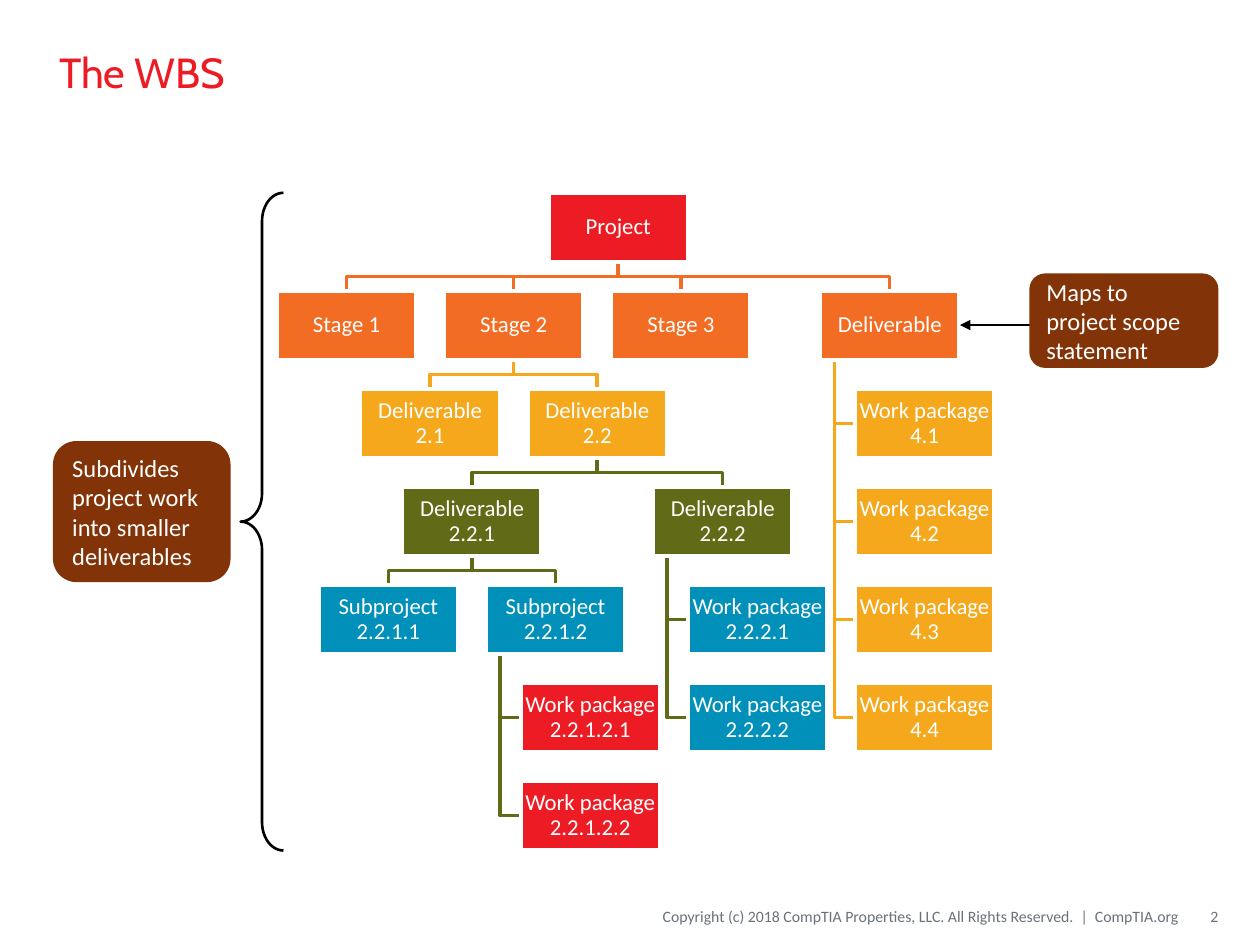
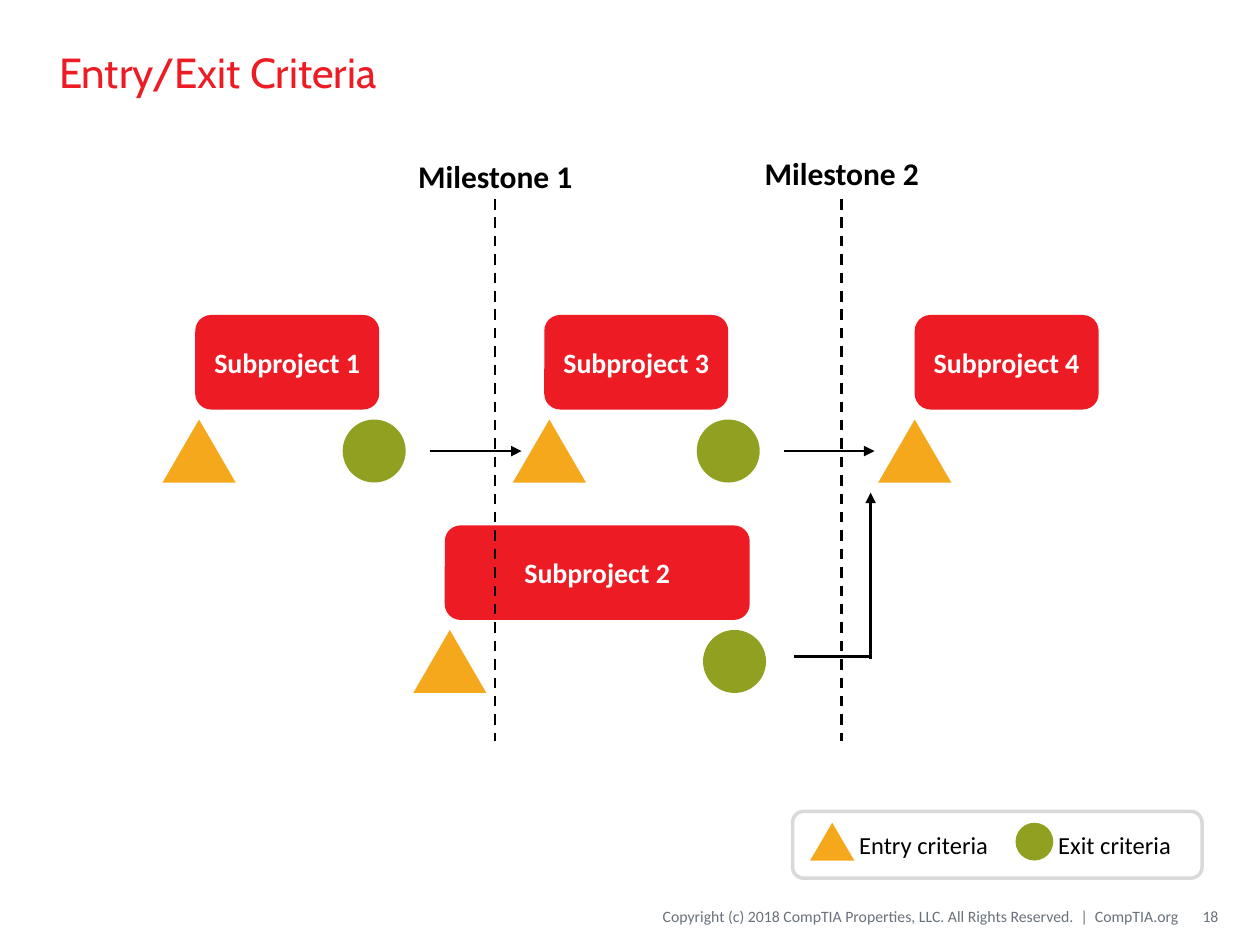
from lxml import etree
from pptx import Presentation
from pptx.dml.color import RGBColor
from pptx.enum.dml import MSO_LINE
from pptx.enum.shapes import MSO_CONNECTOR, MSO_SHAPE
from pptx.enum.text import MSO_ANCHOR, PP_ALIGN
from pptx.oxml.ns import qn
from pptx.util import Inches, Pt

RECT, ROUND = MSO_SHAPE.RECTANGLE, MSO_SHAPE.ROUNDED_RECTANGLE
TRIANGLE, OVAL = MSO_SHAPE.ISOSCELES_TRIANGLE, MSO_SHAPE.OVAL
BRACE, STRAIGHT, DASH = MSO_SHAPE.LEFT_BRACE, MSO_CONNECTOR.STRAIGHT, MSO_LINE.DASH
TOP, MIDDLE = MSO_ANCHOR.TOP, MSO_ANCHOR.MIDDLE
LEFT, CENTER, RIGHT = PP_ALIGN.LEFT, PP_ALIGN.CENTER, PP_ALIGN.RIGHT

COLORS = {
    "red": "ED1C24", "orange": "F26C23", "amber": "F5A81C", "moss": "616A17",
    "blue": "0090B9", "olive": "92A022", "brown": "833308", "gray": "69727B",
    "silver": "D9D9D9", "white": "FFFFFF", "black": "000000",
}
TITLE_FONT, BODY_FONT = "Cabin", "Calibri"
DEFAULT_INSETS = (0.1, 0.05, 0.1, 0.05)
COPYRIGHT = "Copyright (c) 2018 CompTIA Properties, LLC. All Rights Reserved.  |  CompTIA.org"


def node(text, fill, col=None, link=None, children=()):
    return {"text": text, "fill": fill, "col": col, "link": link, "children": children}


def packages(fill, *codes):
    return [node(f"Work package {code}", fill) for code in codes]


WBS = node("Project", "red", 6.5, "orange", [
    node("Stage 1", "orange", 0),
    node("Stage 2", "orange", 4, "amber", [
        node("Deliverable 2.1", "amber", 2),
        node("Deliverable 2.2", "amber", 6, "moss", [
            node("Deliverable 2.2.1", "moss", 3, "moss", [
                node("Subproject 2.2.1.1", "blue", 1),
                node("Subproject 2.2.1.2", "blue", 5, "moss",
                     packages("red", "2.2.1.2.1", "2.2.1.2.2")),
            ]),
            node("Deliverable 2.2.2", "moss", 9, "moss",
                 packages("blue", "2.2.2.1", "2.2.2.2")),
        ]),
    ]),
    node("Stage 3", "orange", 8),
    node("Deliverable", "orange", 13, "amber",
         packages("amber", "4.1", "4.2", "4.3", "4.4")),
])
TREE_LEFT, TREE_TOP, COL, ROW = 2.2, 1.53, 0.3317, 0.778
BOX_W, BOX_H = 1.1, 0.55
CALLOUTS = [
    ("Maps to project scope statement", (8.17, 2.17, 1.5, 0.75)),
    ("Subdivides project work into smaller deliverables", (0.42, 3.5, 1.41, 1.12)),
]

SUBPROJECTS = [
    ("Subproject 1", (1.55, 2.5, 1.46), 1.29, 2.72),
    ("Subproject 2", (3.53, 4.17, 2.42), 3.28, 5.58),
    ("Subproject 3", (4.32, 2.5, 1.46), 4.07, 5.53),
    ("Subproject 4", (7.26, 2.5, 1.46), 6.97, None),
]
SUB_H, MARK_DROP, MARK_SIZE = 0.75, 0.83, 0.5
MILESTONES = [("Milestone 1", 3.93, 1.2), ("Milestone 2", 6.68, 1.17)]
FLOWS = [
    ((3.41, 3.58), (4.14, 3.58), True),
    ((6.22, 3.58), (6.94, 3.58), True),
    ((6.3, 5.21), (6.91, 5.21), False),
    ((6.91, 5.23), (6.91, 3.91), True),
]
LEGEND = [
    ("Entry criteria", TRIANGLE, "amber", (6.43, 6.53, 0.35, 0.3), (6.72, 6.54, 1.28, 0.34)),
    ("Exit criteria", OVAL, "olive", (8.06, 6.53, 0.3, 0.3), (8.3, 6.54, 1.15, 0.34)),
]


def rgb(name):
    return RGBColor.from_string(COLORS[name])


def write(sp, text, size, color, align=LEFT, anchor=MIDDLE, font=BODY_FONT,
          bold=False, wrap=True, insets=DEFAULT_INSETS, spacing=None):
    tf = sp.text_frame
    tf.word_wrap, tf.vertical_anchor = wrap, anchor
    tf.margin_left, tf.margin_top, tf.margin_right, tf.margin_bottom = map(Inches, insets)
    p = tf.paragraphs[0]
    p.text, p.alignment, p.line_spacing = text, align, spacing
    p.font.name, p.font.size, p.font.bold = font, Pt(size), bold
    p.font.color.rgb = rgb(color)


def add_text(s, box, text, size, color, **style):
    write(s.shapes.add_textbox(*map(Inches, box)), text, size, color, **style)


def paint(sp, fill=None, line=None, width=2):
    sp.shadow.inherit = False
    if fill:
        sp.fill.solid()
        sp.fill.fore_color.rgb = rgb(fill)
    else:
        sp.fill.background()
    if line:
        sp.line.color.rgb = rgb(line)
        sp.line.width = Pt(width)
    else:
        sp.line.fill.background()


def add_shape(s, kind, box, fill=None, line=None, width=2):
    sp = s.shapes.add_shape(kind, *map(Inches, box))
    paint(sp, fill, line, width)
    return sp


def add_line(s, start, end, arrow=False, dash=None):
    cx = s.shapes.add_connector(STRAIGHT, *map(Inches, start + end))
    cx.line.color.rgb = rgb("black")
    cx.line.width = Pt(1.5)
    if dash:
        cx.line.dash_style = dash
    if arrow:
        etree.SubElement(cx.line._get_or_add_ln(), qn("a:tailEnd"), type="triangle")
    etree.SubElement(cx._element.spPr, qn("a:effectLst"))


def add_elbow(s, points, color):
    start, *rest = [tuple(map(Inches, pt)) for pt in points]
    builder = s.shapes.build_freeform(*start)
    builder.add_line_segments(rest, close=False)
    paint(builder.convert_to_shape(), line=color)


def new_slide(prs, title, number):
    s = prs.slides.add_slide(prs.slide_layouts[6])
    add_text(s, (3.88, 7.12, 5.47, 0.3), COPYRIGHT, 9, "gray", align=RIGHT,
             insets=(0, 0.05, 0, 0.05))
    add_text(s, (0.37, 0.11, 9.25, 0.92), title, 24, "red", font=TITLE_FONT)
    add_text(s, (9.38, 7.12, 0.29, 0.3), str(number), 9, "gray", align=RIGHT,
             insets=(0.1, 0.05, 0, 0.05))
    return s


def place(item, x, y):
    """Return the boxes and links of a subtree whose root is at x, y."""
    boxes, links = [(item, x, y)], []
    bottom, center = y + BOX_H, x + BOX_W / 2
    for i, child in enumerate(item["children"]):
        if child["col"] is None:
            cx, cy, stem = x + BOX_W / 4, y + ROW * (i + 1), x + BOX_W / 10
            middle = cy + BOX_H / 2
            points = [(stem, bottom), (stem, middle), (cx, middle)]
        else:
            cx, cy = TREE_LEFT + child["col"] * COL, y + ROW
            end, bend = cx + BOX_W / 2, (bottom + cy) / 2
            points = [(center, bottom), (center, bend), (end, bend), (end, cy)]
        links.append((points, item["link"]))
        sub_boxes, sub_links = place(child, cx, cy)
        boxes += sub_boxes
        links += sub_links
    return boxes, links


def build_wbs(prs):
    s = new_slide(prs, "The WBS", 2)
    boxes, links = place(WBS, TREE_LEFT + WBS["col"] * COL, TREE_TOP)
    for points, color in reversed(links):
        add_elbow(s, points, color)
    for item, x, y in boxes:
        sp = add_shape(s, RECT, (x, y, BOX_W, BOX_H), item["fill"], "white")
        write(sp, item["text"], 13, "white", align=CENTER, insets=(0.01,) * 4, spacing=0.9)
    add_line(s, (8.29, 2.58), (7.62, 2.58), arrow=True)
    for text, box in CALLOUTS:
        write(add_shape(s, ROUND, box, "brown"), text, 14, "white")
    brace = add_shape(s, BRACE, (1.91, TREE_TOP, 0.34, 5.22), line="black", width=1.5)
    brace.adjustments[0] = 0.66


def build_criteria(prs):
    s = new_slide(prs, "Entry/Exit Criteria", 18)
    for name, (x, y, w), entry, leave in SUBPROJECTS:
        sp = add_shape(s, ROUND, (x, y, w, SUB_H), "red")
        write(sp, name, 16, "white", align=CENTER, bold=True)
        add_shape(s, TRIANGLE, (entry, y + MARK_DROP, 0.58, MARK_SIZE), "amber")
        if leave:
            add_shape(s, OVAL, (leave, y + MARK_DROP, MARK_SIZE, MARK_SIZE), "olive")
    for name, x, y in MILESTONES:
        add_line(s, (x, 1.58), (x, 5.88), dash=DASH)
        add_text(s, (x - 0.71, y, 1.44, 0.4), name, 18, "black", anchor=TOP,
                 bold=True, wrap=False)
    for start, end, arrow in FLOWS:
        add_line(s, start, end, arrow)
    for text, kind, color, mark, label in LEGEND:
        add_shape(s, kind, mark, color)
        add_text(s, label, text, 14, "black", anchor=TOP, wrap=False)
    add_shape(s, ROUND, (6.29, 6.44, 3.25, 0.53), line="silver")


def main():
    prs = Presentation()
    prs.slide_width, prs.slide_height = Inches(10), Inches(7.5)
    build_wbs(prs)
    build_criteria(prs)
    prs.save("out.pptx")


if __name__ == "__main__":
    main()
